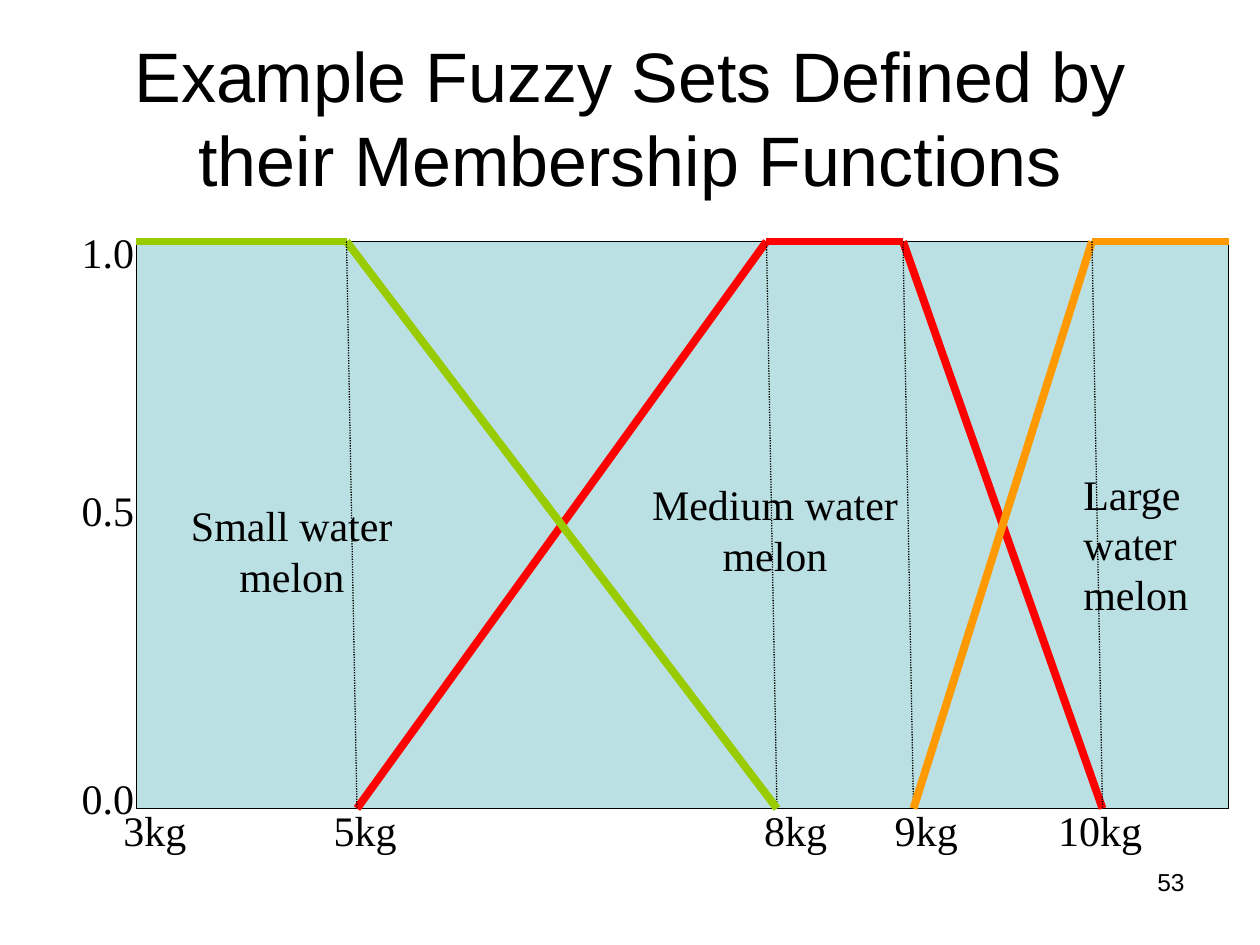
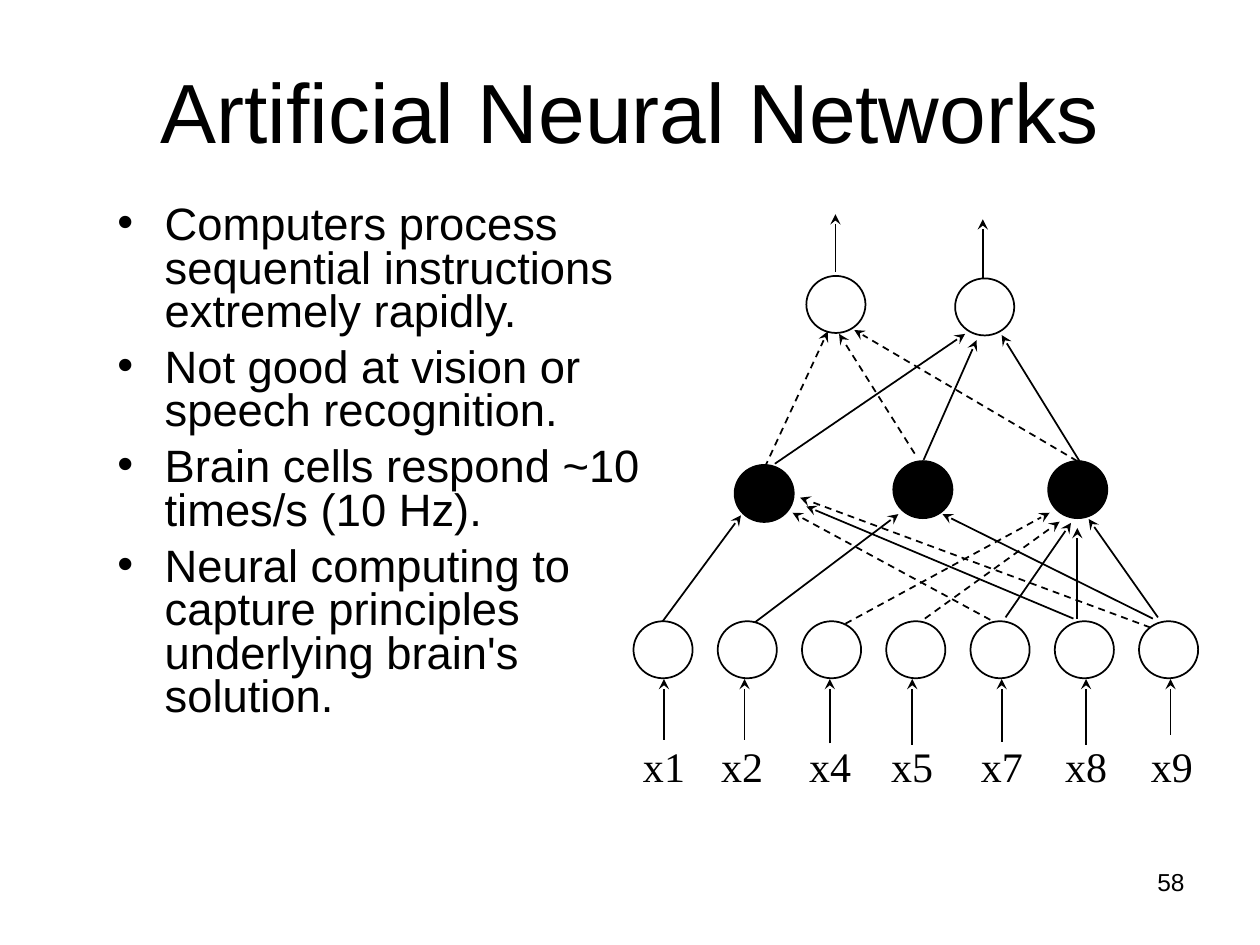
from dataclasses import dataclass
from typing import NamedTuple

from lxml.etree import SubElement
from pptx import Presentation
from pptx.dml.color import RGBColor as Rgb
from pptx.enum.dml import MSO_LINE as Dash
from pptx.enum.shapes import MSO_CONNECTOR as Conn, MSO_SHAPE as Kind
from pptx.enum.text import MSO_ANCHOR as Anchor, MSO_AUTO_SIZE as Fit, PP_ALIGN as Align
from pptx.oxml.ns import qn
from pptx.slide import Slide
from pptx.util import Pt


# Theme
@dataclass(frozen=True)
class Theme:
    ink: Rgb = Rgb(0, 0, 0)
    panel: Rgb = Rgb(0xBB, 0xE0, 0xE3)
    red: Rgb = Rgb(0xFF, 0, 0)
    lime: Rgb = Rgb(0x99, 0xCC, 0)
    amber: Rgb = Rgb(0xFF, 0x99, 0)
    sans: str = "Arial"
    serif: str = "Times New Roman"
    title: float = 40
    big: float = 48
    body: float = 25.9
    label: float = 24
    page: float = 14


T = Theme()


class Box(NamedTuple):
    x: float
    y: float
    w: float
    h: float


class Line(NamedTuple):
    x1: float
    y1: float
    x2: float
    y2: float
    color: Rgb = T.ink
    width: float = 1
    dash: Dash | None = None
    arrow: bool = False


class Label(NamedTuple):
    text: str
    box: Box
    align: Align = Align.LEFT


class Link(NamedTuple):
    x1: float
    y1: float
    x2: float
    y2: float
    dashed: bool = False


class Input(NamedTuple):
    name: str
    left: float
    stem: float
    foot: float


# Drawing helpers
def add_text(slide: Slide, text: str, box: Box, size: float, font: str,
             align: Align = Align.LEFT, wrap: bool = True):
    frame = slide.shapes.add_textbox(*map(Pt, box)).text_frame
    frame.word_wrap = wrap
    frame.auto_size = Fit.NONE if wrap else Fit.SHAPE_TO_FIT_TEXT
    frame.text = text
    for para in frame.paragraphs:
        para.alignment = align
        para.font.size = Pt(size)
        para.font.name = font
        para.font.color.rgb = T.ink
    return frame


def add_label(slide: Slide, label: Label) -> None:
    add_text(slide, label.text, label.box, T.label, T.serif, label.align, wrap=False)


def add_line(slide: Slide, line: Line) -> None:
    ends = map(Pt, (line.x1, line.y1, line.x2, line.y2))
    conn = slide.shapes.add_connector(Conn.STRAIGHT, *ends)
    conn.line.color.rgb = line.color
    conn.line.width = Pt(line.width)
    if line.dash:
        conn.line.dash_style = line.dash
    props = conn._element.spPr
    if line.arrow:
        SubElement(props.find(qn("a:ln")), qn("a:tailEnd"), type="stealth")
    SubElement(props, qn("a:effectLst"))


def add_shape(slide: Slide, kind: Kind, box: Box, fill: Rgb | None, width: float) -> None:
    shape = slide.shapes.add_shape(kind, *map(Pt, box))
    shape.shadow.inherit = False
    if fill is None:
        shape.fill.background()
    else:
        shape.fill.solid()
        shape.fill.fore_color.rgb = fill
    shape.line.color.rgb = T.ink
    shape.line.width = Pt(width)


def add_slide(deck: Presentation, title: str, box: Box, size: float, page: int) -> Slide:
    slide = deck.slides.add_slide(deck.slide_layouts[6])
    add_text(slide, str(page), Box(516, 492, 168, 37.5), T.page, T.sans, Align.RIGHT)
    frame = add_text(slide, title, box, size, T.sans, Align.CENTER)
    frame.vertical_anchor = Anchor.MIDDLE
    return slide


def add_bullets(slide: Slide, items: list[str], box: Box) -> None:
    frame = slide.shapes.add_textbox(*map(Pt, box)).text_frame
    frame.word_wrap = True
    frame.text = "\n".join(items)
    for i, para in enumerate(frame.paragraphs):
        para.line_spacing = 0.8
        para.space_before = Pt(7 if i else 0)
        props = para._p.get_or_add_pPr()
        props.set("marL", str(Pt(27)))
        props.set("indent", str(Pt(-27)))
        SubElement(props, qn("a:buFont"), typeface=T.sans)
        SubElement(props, qn("a:buChar"), char="•")
        para.font.size = Pt(T.body)
        para.font.name = T.sans
        para.font.color.rgb = T.ink


# Slide with fuzzy sets
def fuzzy(deck: Presentation) -> None:
    slide = add_slide(deck, "Example Fuzzy Sets Defined by their Membership Functions",
                      Box(36, 21.6, 648, 90), T.title, 53)
    plot = Box(78, 138, 624, 324)
    top, base, right = plot.y, plot.y + plot.h, plot.x + plot.w
    skew = 6
    kg5, kg8, kg9, kg10 = 198, 438, 516, 624
    add_shape(slide, Kind.RECTANGLE, plot, T.panel, 0.75)

    # Axis labels
    for text, y in (("0.5", 273.6), ("1.0", 126), ("0.0", 438)):
        add_label(slide, Label(text, Box(39.6, y, 46, 36)))
    for text, x in (("3kg", 63.4), ("5kg", 183.6), ("8kg", 429.6), ("9kg", 504.2),
                    ("10kg", 597.6)):
        add_label(slide, Label(text, Box(x, 456, 15 + 12 * len(text), 36)))

    # Membership curves, set names and dotted guides
    def curve(x1: float, y1: float, x2: float, y2: float, color: Rgb) -> None:
        add_line(slide, Line(x1, y1, x2, y2, color, 4.5))

    def guide(x: float) -> None:
        add_line(slide, Line(x, top, x + skew, base, T.ink, 0.75, Dash.ROUND_DOT))

    curve(kg5 + skew, base, kg8, top, T.red)
    curve(kg9, top, kg10 + skew, base, T.red)
    guide(kg8)
    guide(kg9)
    curve(kg8, top, kg9, top, T.red)
    curve(kg9 + skew, base, kg10, top, T.amber)
    curve(kg10, top, right, top, T.amber)
    curve(plot.x, top, kg5, top, T.lime)
    curve(kg5, top, kg8 + skew, base, T.lime)
    for label in (
        Label("Large\nwater\nmelon", Box(612, 264, 78, 93.6)),
        Label("Medium water\nmelon", Box(365.4, 270, 155, 64.8), Align.CENTER),
        Label("Small water\nmelon", Box(102, 282, 129.6, 64.8), Align.CENTER),
    ):
        add_label(slide, label)
    guide(kg5)
    guide(kg10)


# Slide with the neural network
POINTS = [
    "Computers process sequential instructions extremely rapidly.",
    "Not good at vision or speech recognition.",
    "Brain cells respond ~10 times/s (10 Hz).",
    "Neural computing to capture principles underlying brain's solution.",
]
INPUTS = [
    Input("x1", 360, 379.4, 422.6),
    Input("x2", 404.6, 425.5, 422.6),
    Input("x4", 455, 474.2, 424.8),
    Input("x5", 501.8, 521.3, 425.5),
    Input("x7", 553, 572.4, 424),
    Input("x8", 601.2, 620.6, 425.5),
    Input("x9", 650.2, 668.9, 419.8),
]
OUTPUTS = [(460.8, 157.7), (545.8, 159.1)]
HIDDEN = [(419.8, 265.7), (510.5, 263.5), (599, 263.5)]
LINKS = [
    # Inputs to hidden cells
    Link(378.7, 355, 423.4, 294.5),
    Link(431.3, 355.7, 513.4, 293.8),
    Link(483.1, 356.4, 599.8, 293, True),
    Link(528.5, 353.5, 605.5, 298.1, True),
    Link(565.9, 354.2, 452.9, 293, True),
    Link(574.6, 352.8, 612, 298.8),
    Link(613.4, 353.5, 460.8, 289.4),
    Link(615.6, 353.5, 615.6, 301.7),
    Link(657.4, 358.6, 457.2, 284.4, True),
    Link(658.8, 353.5, 538.6, 293.8),
    Link(661.7, 352.8, 622.1, 296.6),
    # Hidden cells to outputs
    Link(437, 267.1, 473, 189.4, True),
    Link(442.8, 265, 551.5, 190.8),
    Link(522.7, 259.2, 479.5, 190.8, True),
    Link(527.8, 262.8, 558, 194.4),
    Link(615.6, 263.5, 488.2, 188.6, True),
    Link(617.8, 265, 572.4, 191.5),
    # Outputs
    Link(477.4, 155.5, 477.4, 122.4),
    Link(561.6, 159.1, 561.6, 125.3),
]


def neural(deck: Presentation) -> None:
    slide = add_slide(deck, "Artificial Neural Networks", Box(54, 24, 612, 78), T.big, 58)
    add_bullets(slide, POINTS, Box(60, 114, 318, 324))

    # Cells
    first, step = 362, 48.15
    row = [(first + i * step, 355) for i in range(len(INPUTS))]
    for cells, fill in ((OUTPUTS, None), (HIDDEN, T.ink), (row, None)):
        for x, y in cells:
            add_shape(slide, Kind.OVAL, Box(x, y, 33.8, 32.6), fill, 1)

    # Links, input arrows and names
    stems = [Link(item.stem, item.foot, item.stem, 388) for item in INPUTS]
    for link in LINKS + stems:
        add_line(slide, Line(*link[:4], dash=Dash.DASH if link.dashed else None, arrow=True))
    for item in INPUTS:
        add_label(slide, Label(item.name, Box(item.left, 419.8, 38.9, 36), Align.CENTER))


def main() -> None:
    deck = Presentation()
    deck.slide_width, deck.slide_height = Pt(720), Pt(540)
    fuzzy(deck)
    neural(deck)
    deck.save("out.pptx")


if __name__ == "__main__":
    main()
